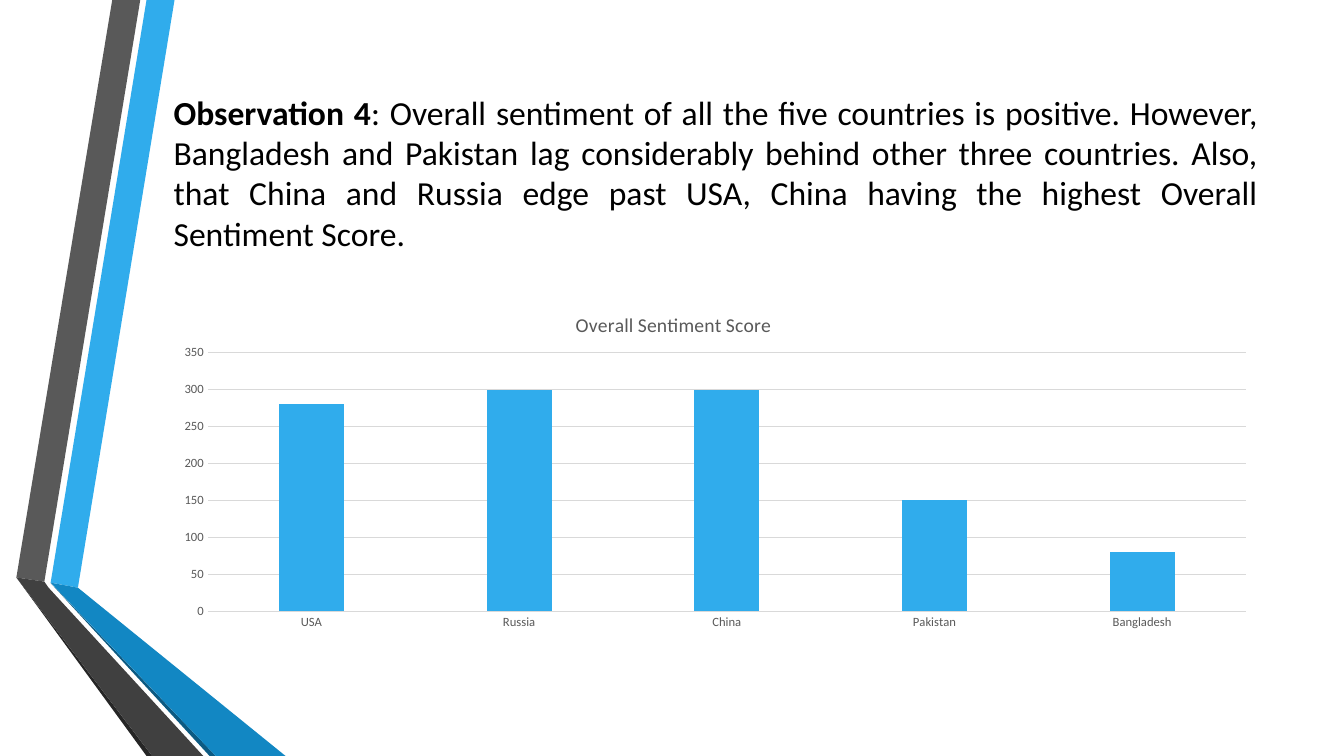
import dataclasses

import lxml.etree
import pptx
import pptx.chart.data
import pptx.dml.color
import pptx.enum.chart
import pptx.enum.text
import pptx.oxml.ns
import pptx.util

Pt = pptx.util.Pt
qn = pptx.oxml.ns.qn


@dataclasses.dataclass(frozen=True)
class Theme:
    """Colours, font and type sizes of the slide."""
    font: str = "Calibri"
    ink: str = "000000"
    label: str = "595959"
    grid: str = "D9D9D9"
    blue: str = "30ACEC"
    blue_fold: str = "1287C3"
    blue_edge: str = "0C5A82"
    grey: str = "595959"
    grey_fold: str = "404040"
    grey_edge: str = "262626"
    title_size: int = 24
    chart_title_size: int = 14
    label_size: int = 9
    hairline: float = 0.75


@dataclasses.dataclass(frozen=True)
class Box:
    """A region of the slide, in points."""
    left: float
    top: float
    width: float
    height: float

    def lengths(self):
        """Return the four measures as lengths."""
        return [Pt(n) for n in (self.left, self.top, self.width, self.height)]


THEME = Theme()
SLIDE = Box(0, 0, 960, 540)
RIBBONS = Box(11.7, 0, 192.3, 540)
OBSERVATION = Box(116.8, 54, 789, 138)
SENTIMENT = Box(116.8, 210.2, 789, 246.2)


def rgb(value):
    """Turn a hex string into a colour."""
    return pptx.dml.color.RGBColor.from_string(value)


def style_font(font, size, colour, bold=False):
    """Apply the theme font with a size, colour and weight."""
    font.name, font.size, font.bold = THEME.font, Pt(size), bold
    font.color.rgb = rgb(colour)


def add_ribbons(slide, box):
    """Draw the two folded ribbons; corners are relative to the box."""
    foot = box.height
    ribbons = [
        (THEME.blue, [(24.5, 416.2), (44, 419.8), (113, 0), (93, 0)]),
        (THEME.grey, [(88.5, 0), (68.5, 0), (0, 412.5), (20, 415.5)]),
        (THEME.grey_edge, [(0, 412.5), (93, foot), (97, foot)]),
        (THEME.blue_edge, [(24.5, 416.5), (138, foot), (142.5, foot)]),
        (THEME.blue_fold, [(24.5, 416.2), (142.5, foot), (192.3, foot), (44, 419.8)]),
        (THEME.grey_fold, [(0, 412.5), (97, foot), (133.5, foot), (23, 419.8), (20, 415.5)]),
    ]
    for colour, corners in ribbons:
        start, *rest = [(Pt(box.left + x), Pt(box.top + y)) for x, y in corners]
        outline = slide.shapes.build_freeform(*start)
        outline.add_line_segments(rest, close=True)
        ribbon = outline.convert_to_shape()
        ribbon.shadow.inherit = False
        ribbon.fill.solid()
        ribbon.fill.fore_color.rgb = rgb(colour)
        ribbon.line.fill.background()


def add_observation(slide, box):
    """Place the justified observation in the title placeholder."""
    observation = slide.shapes.title
    observation.left, observation.top, observation.width, observation.height = box.lengths()
    frame = observation.text_frame
    frame.word_wrap = True
    frame.auto_size = pptx.enum.text.MSO_AUTO_SIZE.NONE
    frame.vertical_anchor = pptx.enum.text.MSO_ANCHOR.MIDDLE
    frame.text = "Observation 4"
    statement = frame.paragraphs[0]
    statement.alignment = pptx.enum.text.PP_ALIGN.JUSTIFY
    statement.add_run().text = (
        ": Overall sentiment of all the five countries is positive. However, "
        "Bangladesh and Pakistan lag considerably behind other three countries. "
        "Also, that China and Russia edge past USA, China having the highest "
        "Overall Sentiment Score.")
    for run, bold in zip(statement.runs, (True, False)):
        style_font(run.font, THEME.title_size, THEME.ink, bold)


def style_axis(axis):
    """Give an axis small grey labels and no tick marks."""
    style_font(axis.tick_labels.font, THEME.label_size, THEME.label)
    axis.major_tick_mark = axis.minor_tick_mark = pptx.enum.chart.XL_TICK_MARK.NONE


def style_rule(line):
    """Draw an axis or grid line as a pale hairline."""
    line.color.rgb = rgb(THEME.grid)
    line.width = Pt(THEME.hairline)


def place_in_chart(part, index, **settings):
    """Fix the place of a chart part, in fractions of the chart."""
    for automatic in part.findall(qn("c:layout")):
        part.remove(automatic)
    layout = lxml.etree.Element(qn("c:layout"))
    manual = lxml.etree.SubElement(layout, qn("c:manualLayout"))
    for name, value in settings.items():
        lxml.etree.SubElement(manual, qn("c:" + name)).set("val", str(value))
    part.insert(index, layout)


def add_sentiment_chart(slide, box):
    """Chart the overall sentiment score of each country."""
    scores = {"USA": 280, "Russia": 300, "China": 300, "Pakistan": 150, "Bangladesh": 80}
    data = pptx.chart.data.CategoryChartData()
    data.categories = list(scores)
    data.add_series("Series 1", list(scores.values()))
    chart = slide.shapes.add_chart(
        pptx.enum.chart.XL_CHART_TYPE.COLUMN_CLUSTERED, *box.lengths(), data).chart
    style_font(chart.font, THEME.label_size, THEME.label)
    chart.has_legend = False
    chart.has_title = True
    heading = chart.chart_title.text_frame
    heading.text = "Overall Sentiment Score"
    style_font(heading.paragraphs[0].runs[0].font, THEME.chart_title_size, THEME.label)
    title_part = heading._txBody.getparent().getparent()
    place_in_chart(title_part, 1, xMode="edge", yMode="edge", x=0.37, y=0.04)

    countries, score_axis = chart.category_axis, chart.value_axis
    style_axis(countries)
    style_axis(score_axis)
    style_rule(countries.format.line)
    style_rule(score_axis.major_gridlines.format.line)
    score_axis.format.line.fill.background()
    score_axis.minimum_scale, score_axis.maximum_scale = 0, 350
    score_axis.major_unit = 50

    columns = chart.plots[0]
    columns.vary_by_categories = False
    columns.gap_width, columns.overlap = 219, -27
    fill = columns.series[0].format.fill
    fill.solid()
    fill.fore_color.rgb = rgb(THEME.blue)
    plot_area = columns._element.getparent()
    place_in_chart(plot_area, 0, layoutTarget="inner", xMode="edge", yMode="edge",
                   x=0.04, y=0.17, w=0.94, h=0.75)


def main():
    """Build the slide and save it."""
    deck = pptx.Presentation()
    deck.slide_width, deck.slide_height = Pt(SLIDE.width), Pt(SLIDE.height)
    slide = deck.slides.add_slide(deck.slide_layouts.get_by_name("Title Only"))
    add_ribbons(slide, RIBBONS)
    add_observation(slide, OBSERVATION)
    add_sentiment_chart(slide, SENTIMENT)
    deck.save("out.pptx")


main()
